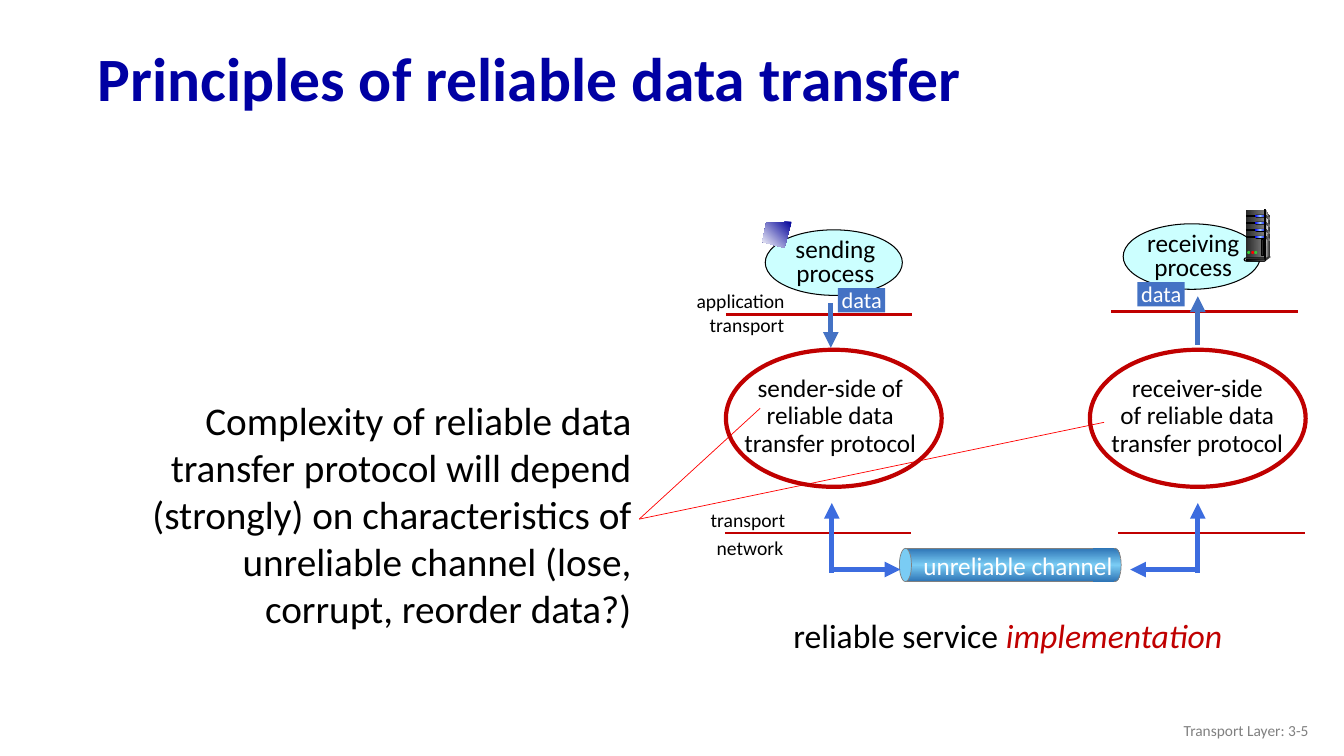
from copy import deepcopy

from lxml.etree import SubElement
from pptx import Presentation
from pptx.dml.color import RGBColor
from pptx.enum.shapes import MSO_CONNECTOR, MSO_SHAPE
from pptx.enum.text import MSO_ANCHOR, MSO_AUTO_SIZE, PP_ALIGN
from pptx.oxml.ns import qn
from pptx.util import Inches, Pt

HUES = {
    "navy": "0000A3", "ink": "000000", "white": "FFFFFF", "cyan": "CCFFFF",
    "blue": "4472C4", "royal": "3C6CDF", "deep": "000099", "red": "C00000",
    "bright": "FF0000", "green": "33CC33", "grey": "808080", "coal": "292929",
    "dark": "333333", "silver": "DDDDDD", "pale": "F8F8F8", "pipe": "2E75B6",
    "sky": "7ACCF4", "led": "0000FF", "glow": "99CCFF",
}
RECT, OVAL, PILL = MSO_SHAPE.RECTANGLE, MSO_SHAPE.OVAL, MSO_SHAPE.ROUNDED_RECTANGLE
TUBE = ("pipe", "sky", "pipe")


def hue(name):
    return RGBColor.from_string(HUES[name])


def write(frame, text, size=18, color="ink", bold=False, align=PP_ALIGN.LEFT,
          space=1.0, anchor=MSO_ANCHOR.TOP, wrap=True, accent=""):
    frame.word_wrap = wrap
    frame.auto_size = MSO_AUTO_SIZE.NONE
    frame.vertical_anchor = anchor
    for i, part in enumerate(text.split("\n")):
        para = frame.add_paragraph() if i else frame.paragraphs[0]
        para.alignment, para.line_spacing = align, space
        for words in filter(None, (part, accent)):
            run = para.add_run()
            run.text = words
            font = run.font
            font.name, font.size, font.bold = "Calibri", Pt(size), bold
            font.color.rgb = hue("red" if words == accent else color)
            if words == accent:
                font.italic = True


class Deck:
    def __init__(self):
        self.show = Presentation()
        self.show.slide_width, self.show.slide_height = Inches(13.33), Inches(7.5)
        self.slide = self.show.slides.add_slide(self.show.slide_layouts[5])
        self.shapes = self.slide.shapes

    def title(self, text, box, **style):
        head = self.shapes.title
        head.left, head.top, head.width, head.height = map(Inches, box)
        write(head.text_frame, text, **style)

    def text(self, text, box, **style):
        write(self.shapes.add_textbox(*map(Inches, box)).text_frame, text, **style)

    def paint(self, shape, fill, edge=None, width=0.75, angle=0):
        shape.shadow.inherit = False
        if fill is None:
            shape.fill.background()
        elif isinstance(fill, str):
            shape.fill.solid()
            shape.fill.fore_color.rgb = hue(fill)
        else:
            shape.fill.gradient()
            shape.fill.gradient_angle = angle
            stops = shape.element.spPr.find(qn("a:gradFill")).find(qn("a:gsLst"))
            for _ in fill[2:]:
                stops.append(deepcopy(stops[0]))
            for i, (stop, name) in enumerate(zip(shape.fill.gradient_stops, fill)):
                stop.position = i / (len(fill) - 1)
                stop.color.rgb = hue(name)
        if edge:
            shape.line.color.rgb = hue(edge)
            shape.line.width = Pt(width)
        else:
            shape.line.fill.background()

    def shape(self, kind, box, fill, **style):
        item = self.shapes.add_shape(kind, *map(Inches, box))
        if kind == PILL:
            item.adjustments[0] = 0.5
        self.paint(item, fill, **style)

    def free(self, points, fill, **style):
        spots = [(Inches(x), Inches(y)) for x, y in points]
        form = self.shapes.build_freeform(*spots[0], scale=1.0)
        form.add_line_segments(spots[1:], close=True)
        self.paint(form.convert_to_shape(), fill, **style)

    def line(self, start, end, color, width, tip=None):
        item = self.shapes.add_connector(
            MSO_CONNECTOR.STRAIGHT, *map(Inches, (*start, *end)))
        item.line.color.rgb = hue(color)
        item.line.width = Pt(width)
        if tip:
            SubElement(item.line._get_or_add_ln(), qn(f"a:{tip}End"), type="triangle")
        SubElement(item.element.spPr, qn("a:effectLst"))

    def process(self, name, x, y, tag):
        self.shape(OVAL, (x, y, 1.36, 0.65), "cyan", edge="ink")
        self.text(f"{name} process", (x + 0.09, y + 0.04, 1.21, 0.59),
                  align=PP_ALIGN.CENTER, space=0.8)
        self.shape(RECT, (tag, y + 0.58, 0.47, 0.24), "blue")
        self.text("data", (tag - 0.06, y + 0.51, 0.63, 0.37), size=16, color="white")

    def server(self):
        self.free([(12.55, 2.08), (12.59, 2.14), (12.59, 2.55), (12.54, 2.57)],
                  ("silver", "dark"))
        self.shape(RECT, (12.36, 2.08, 0.19, 0.49), ("coal", "grey"))
        self.free([(12.55, 2.11), (12.58, 2.15), (12.56, 2.4), (12.55, 2.55)],
                  ("grey", "pale"))
        for i in range(4):
            y = 2.13 + 0.07 * i
            self.shape(RECT, (12.36, y + 0.01, 0.11, 0.01), "ink", edge="ink")
            self.shape(PILL, (12.45, y, 0.1, 0.03), "ink")
            self.shape(PILL, (12.45, y, 0.1, 0.02), ("led", "glow", "led"))
            self.free([(12.55, y), (12.59, y + 0.03), (12.59, y + 0.05),
                       (12.55, y + 0.02)], ("coal", "grey"))
        self.shape(RECT, (12.54, 2.08, 0.01, 0.49), ("dark", "silver", "dark"), edge="ink")
        self.shape(OVAL, (12.59, 2.54, 0.01, 0.02), "dark")
        self.free([(12.55, 2.56), (12.55, 2.59), (12.59, 2.56), (12.59, 2.54)], "dark")
        self.shape(PILL, (12.34, 2.56, 0.21, 0.03), "silver", edge="ink")
        self.shape(PILL, (12.36, 2.57, 0.19, 0.02), ("ink", "grey"), edge="ink")
        for x, color in ((12.37, "green"), (12.41, "bright"), (12.44, "green")):
            self.shape(OVAL, (x, 2.49, 0.03, 0.03), color)
        self.shape(RECT, (12.51, 2.38, 0.02, 0.16), "coal", edge="ink")

    def channel(self):
        rim = {"edge": "grey", "width": 0.5}
        self.shape(RECT, (8.98, 5.44, 2.07, 0.33), TUBE, angle=90, **rim)
        self.shape(OVAL, (8.92, 5.44, 0.12, 0.33), "sky", **rim)
        self.shape(OVAL, (11, 5.44, 0.12, 0.33), TUBE, angle=90, **rim)
        self.shape(RECT, (10.84, 5.44, 0.21, 0.33), TUBE, angle=90)
        self.text("unreliable channel", (9.06, 5.41, 2.1, 0.4), color="white", wrap=False)


def main():
    deck = Deck()
    deck.title("Principles of reliable data transfer", (0.87, 0.32, 12.14, 0.98),
               size=44, color="navy", bold=True, space=0.9, anchor=MSO_ANCHOR.MIDDLE)
    deck.process("sending", 7.59, 2.28, 8.31)
    deck.free([(7.85, 2.2), (7.6, 2.21), (7.56, 2.4), (7.78, 2.46)],
              ("deep", "white"), angle=225)
    deck.process("receiving", 11.14, 2.22, 11.28)
    deck.server()
    for x, y in ((7.2, 3.12), (11.02, 3.09), (7.19, 5.29), (11.09, 5.29)):
        deck.line((x, y), (x + 1.85, y), "red", 1.75)
    for name, x, y, wide in (("application", 6.81, 2.82, 1.09),
                             ("transport", 6.94, 3.06, 0.95),
                             ("transport", 6.95, 4.99, 0.95),
                             ("network", 7.01, 5.27, 0.87)):
        deck.text(name, (x, y, wide, 0.34), size=14, wrap=False)
    deck.text("reliable service ", (7.77, 6.05, 5.09, 0.5), size=24,
              accent="implementation")
    deck.channel()
    deck.line((8.24, 3.01), (8.24, 3.45), "blue", 3.75, "tail")
    deck.line((11.88, 3.42), (11.88, 2.94), "blue", 3.75, "tail")
    for x, tip in ((8.25, 8.93), (11.88, 11.21)):
        deck.line((x, 4.99), (x, 5.68), "royal", 3.75, "head")
        deck.line((tip, 5.65), (x, 5.65), "royal", 3.75, "head")
    for x, text in ((7.2, "sender-side of\nreliable data transfer protocol"),
                    (10.84, "receiver-side\nof reliable data transfer protocol")):
        deck.text(text, (x, 3.68, 2.07, 0.92), align=PP_ALIGN.CENTER, space=0.9)
    deck.text("Complexity of reliable data transfer protocol will depend (strongly) on "
              "characteristics of unreliable channel (lose, corrupt, reorder data?)",
              (1.09, 3.88, 5.27, 2.46), size=28, align=PP_ALIGN.RIGHT)
    for start in ((7.54, 4.05), (10.95, 4.19)):
        deck.line(start, (6.34, 5.15), "bright", 0.5)
    for x in (7.2, 10.81):
        deck.shape(OVAL, (x, 3.47, 2.14, 1.36), None, edge="red", width=3)
    deck.text("Transport Layer: 3-5", (10.08, 7.05, 3, 0.4), size=11, color="grey",
              align=PP_ALIGN.RIGHT, anchor=MSO_ANCHOR.MIDDLE)
    deck.show.save("out.pptx")


if __name__ == "__main__":
    main()
